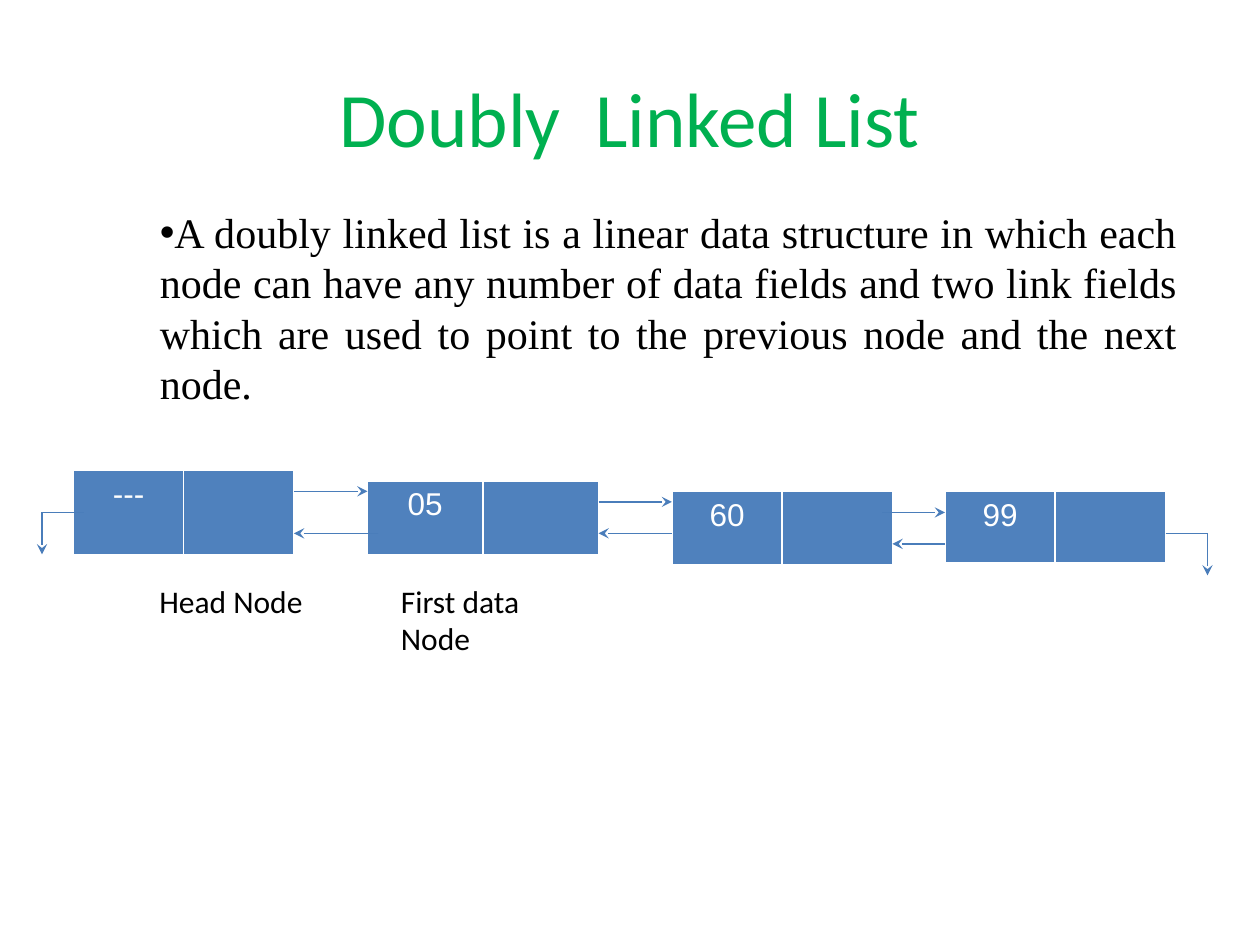
from dataclasses import dataclass

from lxml import etree
from pptx import Presentation
from pptx.dml.color import RGBColor
from pptx.enum.shapes import MSO_CONNECTOR as Connector
from pptx.enum.text import MSO_ANCHOR as Anchor, PP_ALIGN as Align
from pptx.oxml.ns import qn
from pptx.util import Inches, Pt


@dataclass(frozen=True)
class Theme:
    green: str = "00B050"
    black: str = "000000"
    white: str = "FFFFFF"
    node: str = "4F81BD"
    link: str = "4A7DBA"
    heading: str = "Calibri"
    body: str = "Times New Roman"
    value: str = "Arial"
    title_size: int = 44
    body_size: int = 24
    small_size: int = 18
    link_width: float = 0.75


THEME = Theme()

# Content
TITLE = "Doubly  Linked List"
DEFINITION = (
    "A doubly linked list is a linear data structure in which each node can have "
    "any number of data fields and two link fields which are used to point to the "
    "previous node and the next node."
)

# Diagram grid: 12 units to the inch, rows shifted slightly upwards
UNIT = 1 / 12
ROW_SHIFT = -0.2

# Nodes: value, column, row, cell width, height
NODES = [
    ("---", 7, 45, 10.5, 8),
    ("05", 35, 46, 11, 7),
    ("60", 64, 47, 10.5, 7),
    ("99", 90, 47, 10.5, 6.8),
]
# Labels: text, column, row, height
LABELS = [("Head Node", 14, 55, 4.8), ("First data Node", 37, 55, 8.5)]
LABEL_WIDTH = 18

# Links: grid points along each path, with the arrowhead at the last one
LINKS = [
    [(28, 47), (35, 47)],
    [(57, 48), (64, 48)],
    [(84, 49), (90, 49)],
    [(36, 51), (28, 51)],
    [(64, 51), (57, 51)],
    [(90, 52), (85, 52)],
    [(8, 49), (4, 49), (4, 53)],
    [(111, 51), (115, 51), (115, 55)],
]


def across(column):
    return Inches(column * UNIT)


def down(row):
    return Inches((row + ROW_SHIFT) * UNIT)


def style_font(para, face, size, colour):
    for span in para.runs:
        span.font.name = face
        span.font.size = Pt(size)
        span.font.color.rgb = RGBColor.from_string(colour)


def add_text(page, area, text, face, size, colour, align=Align.LEFT):
    box = page.shapes.add_textbox(*area)
    frame = box.text_frame
    frame.word_wrap = True
    frame.text = text
    para = frame.paragraphs[0]
    para.alignment = align
    style_font(para, face, size, colour)
    return box


def add_bullet(para):
    props = para._p.get_or_add_pPr()
    props.set("marL", "0")
    props.set("indent", "0")
    etree.SubElement(props, qn("a:buFont")).set("typeface", THEME.value)
    etree.SubElement(props, qn("a:buChar")).set("char", "•")


def add_node(page, value, column, row, cell_width, height):
    table = page.shapes.add_table(
        1, 2, across(column), down(row), across(2 * cell_width), across(height)
    ).table
    for cell in table.iter_cells():
        cell.fill.solid()
        cell.fill.fore_color.rgb = RGBColor.from_string(THEME.node)
    data = table.cell(0, 0)
    data.text = value
    para = data.text_frame.paragraphs[0]
    para.alignment = Align.CENTER
    style_font(para, THEME.value, THEME.small_size, THEME.white)


def add_link(page, start, end, arrow):
    link = page.shapes.add_connector(
        Connector.STRAIGHT,
        across(start[0]), down(start[1]), across(end[0]), down(end[1]),
    )
    link.line.color.rgb = RGBColor.from_string(THEME.link)
    link.line.width = Pt(THEME.link_width)
    if arrow:
        outline = link.line._get_or_add_ln()
        etree.SubElement(outline, qn("a:tailEnd")).set("type", "stealth")
    etree.SubElement(link._element.spPr, qn("a:effectLst"))


def main():
    deck = Presentation()
    deck.slide_width, deck.slide_height = Inches(10), Inches(7.5)
    page = deck.slides.add_slide(deck.slide_layouts[6])

    # Title and definition
    title_area = [Inches(n) for n in (0.5, 0.3, 9, 1.25)]
    title = add_text(page, title_area, TITLE, THEME.heading,
                     THEME.title_size, THEME.green, Align.CENTER)
    title.text_frame.vertical_anchor = Anchor.MIDDLE

    body_area = [Inches(n) for n in (1.17, 1.59, 8.27, 1.72)]
    body = add_text(page, body_area, DEFINITION, THEME.body,
                    THEME.body_size, THEME.black, Align.JUSTIFY)
    add_bullet(body.text_frame.paragraphs[0])

    # Nodes and their labels
    for node in NODES:
        add_node(page, *node)
    for text, column, row, height in LABELS:
        area = (across(column), down(row), across(LABEL_WIDTH), across(height))
        add_text(page, area, text, THEME.heading, THEME.small_size, THEME.black)

    # Links between nodes and at both ends
    for points in LINKS:
        for start, end in zip(points, points[1:]):
            add_link(page, start, end, arrow=end == points[-1])

    deck.save("out.pptx")


if __name__ == "__main__":
    main()
